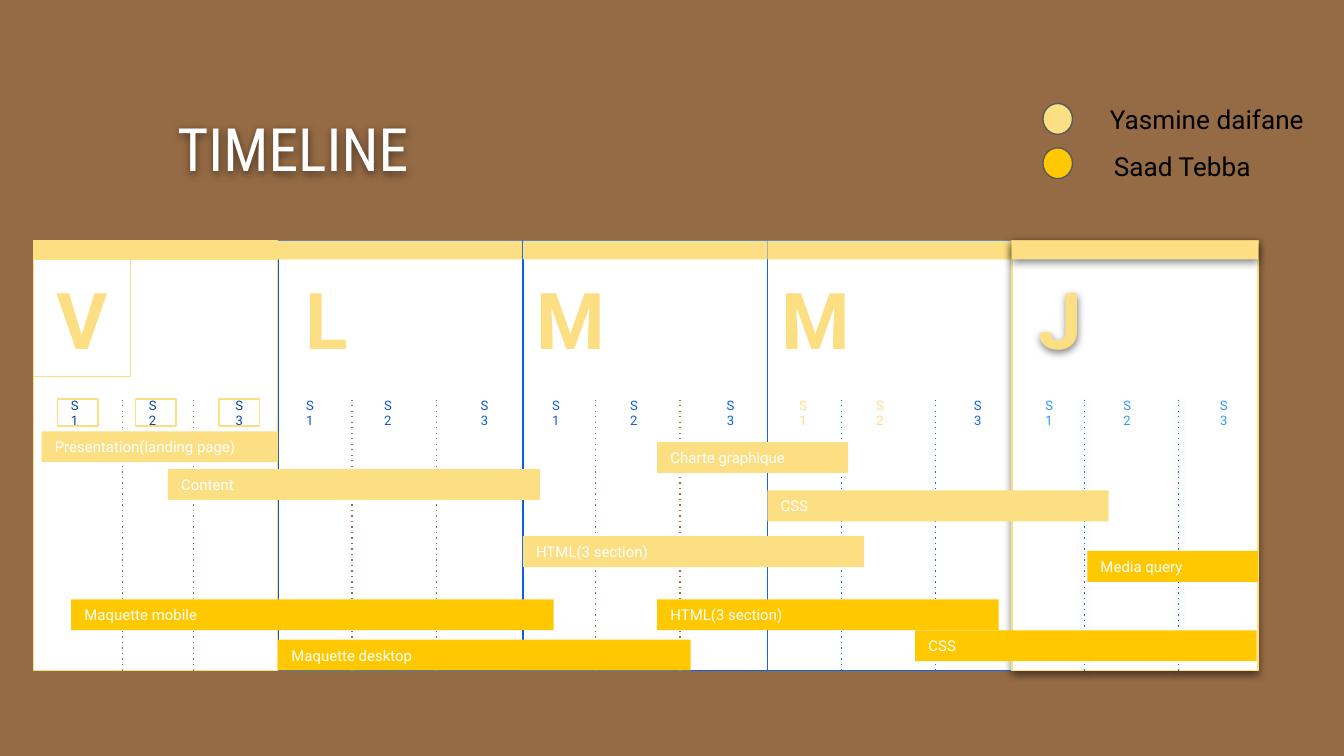
from lxml import etree
from pptx import Presentation
from pptx import util as u
from pptx.dml.color import RGBColor
from pptx.enum import shapes, text
from pptx.oxml.ns import qn

PX = 9144  # 100 px to the inch
BROWN = RGBColor(0x95, 0x6B, 0x45)
CREAM = RGBColor(0xFC, 0xDE, 0x83)
GOLD = RGBColor(0xFF, 0xC8, 0x00)
WHITE = RGBColor(0xFF, 0xFF, 0xFF)
BLACK = RGBColor(0x00, 0x00, 0x00)
GREY = RGBColor(0x59, 0x59, 0x59)
NAVY = RGBColor(0x09, 0x44, 0xA1)
BLUE_1 = RGBColor(0x0C, 0x58, 0xD3)
BLUE_2 = RGBColor(0x0D, 0x5D, 0xDF)
BLUE_3 = RGBColor(0x0E, 0x65, 0xF0)
SKY = RGBColor(0x2B, 0x99, 0xFF)

# Content: letter, border, divider offsets and colour, session label lefts and colours
DAYS = [
    dict(letter="V", border=CREAM, dividers=(66, 119), dots=BROWN,
         labels=(43, 101, 163), inks=(NAVY, NAVY, NAVY), boxed=True),
    dict(letter="L", border=BLUE_1, dividers=(55, 118), dots=BROWN,
         labels=(218, 276, 346), inks=(BLUE_1, BLUE_1, BLUE_1)),
    dict(letter="M", border=BLUE_2, dividers=(54, 117), dots=BROWN,
         labels=(401, 459, 529), inks=(BLUE_2, BLUE_2, BLUE_2)),
    dict(letter="M", border=BLUE_3, dividers=(55, 125), dots=BLUE_3,
         labels=(585, 642, 713), inks=(CREAM, CREAM, BLUE_3)),
    dict(letter="J", border=CREAM, dividers=(54, 124), dots=BLUE_3,
         labels=(768, 826, 896), inks=(SKY, SKY, SKY), raised=True),
]
# Task, left, top, width, colour of the person in charge
TASKS = [
    ("Content", 125, 349, 277, CREAM),
    ("Presentation(landing page)", 31, 321, 176, CREAM),
    ("HTML(3 section)", 389, 399, 254, CREAM),
    ("CSS", 571, 365, 254, CREAM),
    ("Maquette mobile", 53, 446, 359, GOLD),
    ("Charte graphique", 489, 329, 142, CREAM),
    ("Maquette desktop", 207, 476, 307, GOLD),
    ("Media query", 809, 410, 127, GOLD),
    ("HTML(3 section)", 489, 446, 254, GOLD),
    ("CSS", 681, 469, 254, GOLD),
]
# Person, dot top, name left, name top, colour
LEGEND = [
    ("Yasmine daifane", 77, 816, 67, CREAM),
    ("Saad Tebba", 110, 819, 102, GOLD),
]
LEFT, TOP, DAYS_W, DAY_H = 25, 179, 911, 320
HEAD_H, LABEL_Y, LABEL_H, BAR_H = 14, 297, 20, 23
EDGES = [LEFT + DAYS_W * i // len(DAYS) for i in range(len(DAYS) + 1)]
LEFT_AL, CENTER = text.PP_ALIGN.LEFT, text.PP_ALIGN.CENTER


def emu(*px):
    return [u.Emu(v * PX) for v in px]


def set_effects(sp, raised=False):
    """Replace the theme shadow by none, or by a soft one below."""
    effects = etree.SubElement(sp.element.spPr, qn("a:effectLst"))
    if raised:
        shadow = etree.SubElement(effects, qn("a:outerShdw"), blurRad="57150",
                                  dist="19050", dir="5400000", algn="bl", rotWithShape="0")
        colour = etree.SubElement(shadow, qn("a:srgbClr"), val="000000")
        etree.SubElement(colour, qn("a:alpha"), val="50000")


def write(sp, words, size, colour, align=LEFT_AL, font="Roboto", bold=False,
          inset=10, anchor=text.MSO_ANCHOR.MIDDLE):
    tf = sp.text_frame
    frame = dict(word_wrap=True, auto_size=text.MSO_AUTO_SIZE.NONE, vertical_anchor=anchor)
    frame.update({f"margin_{side}": u.Emu(inset * PX)
                  for side in ("left", "top", "right", "bottom")})
    for name, value in frame.items():
        setattr(tf, name, value)
    p = tf.paragraphs[0]
    p.alignment = align
    r = p.add_run()
    r.text = words
    for name, value in dict(size=u.Pt(size), name=font, bold=bold).items():
        setattr(r.font, name, value)
    r.font.color.rgb = colour


def add_box(parent, box, fill=None, line=None, raised=False,
            kind=shapes.MSO_SHAPE.RECTANGLE):
    if fill is None and line is None:
        sp = parent.add_textbox(*emu(*box))
    else:
        sp = parent.add_shape(kind, *emu(*box))
    if fill is None:
        sp.fill.background()
    else:
        sp.fill.solid()
        sp.fill.fore_color.rgb = fill
    if line is None:
        sp.line.fill.background()
    else:
        sp.line.color.rgb = line
        sp.line.width = u.Pt(0.75)
    set_effects(sp, raised)
    return sp


def add_divider(parent, x, colour, raised):
    line = parent.add_connector(shapes.MSO_CONNECTOR.STRAIGHT,
                                *emu(x, TOP + DAY_H, x, LABEL_Y))
    line.line.color.rgb = colour
    line.line.width = u.Pt(0.75)
    etree.SubElement(line.element.spPr.find(qn("a:ln")), qn("a:prstDash"), val="dot")
    set_effects(line, raised)


def add_labels(parent, day):
    boxed = day.get("boxed", False)
    for n, (x, ink) in enumerate(zip(day["labels"], day["inks"]), 1):
        sp = add_box(parent, (x, LABEL_Y, 30 if boxed else 29, LABEL_H),
                     line=CREAM if boxed else None)
        write(sp, f"S{n}", 7, ink, CENTER if n == 3 else LEFT_AL)


def add_day(parent, x, w, day):
    boxed, raised = day.get("boxed", False), day.get("raised", False)
    frame = CREAM if boxed else None
    add_box(parent, (x, TOP, w, DAY_H), WHITE, day["border"], raised)
    add_box(parent, (x, TOP, w, HEAD_H), CREAM, frame, raised)
    sp = add_box(parent, (x, TOP + HEAD_H, 72, 87), line=frame, raised=raised)
    write(sp, day["letter"], 42, CREAM, CENTER, bold=True)
    if boxed:
        add_labels(parent, day)
    for offset in day["dividers"]:
        add_divider(parent, x + offset, day["dots"], raised)


def main():
    prs = Presentation()
    prs.slide_width, prs.slide_height = u.Inches(10), u.Pt(405)
    s = prs.slides.add_slide(prs.slide_layouts[5])
    s.background.fill.solid()
    s.background.fill.fore_color.rgb = BROWN

    # Title
    title = s.shapes.title
    title.left, title.top, title.width, title.height = emu(132, 94, 736, 38)
    write(title, "TIMELINE", 32, WHITE, font="Roboto Condensed", inset=0)
    title.text_frame.paragraphs[0].line_spacing = 0.9
    set_effects(title, raised=True)

    # Day columns, then the session labels over them
    for x, end, day in zip(EDGES, EDGES[1:], DAYS):
        add_day(s.shapes.add_group_shape().shapes, x, end - x, day)
    for day in DAYS:
        if not day.get("boxed"):
            add_labels(s.shapes, day)

    # Task bars
    for task, x, y, w, colour in TASKS:
        write(add_box(s.shapes, (x, y, w, BAR_H), colour), task, 8, WHITE)

    # Legend
    for person, dot_y, x, y, colour in LEGEND:
        add_box(s.shapes, (776, dot_y, 22, 23), colour, GREY, kind=shapes.MSO_SHAPE.OVAL)
        name = add_box(s.shapes, (x, y, 166, 44))
        write(name, person, 14, BLACK, anchor=text.MSO_ANCHOR.TOP)
        name.text_frame.auto_size = text.MSO_AUTO_SIZE.SHAPE_TO_FIT_TEXT

    prs.save("out.pptx")


if __name__ == "__main__":
    main()
